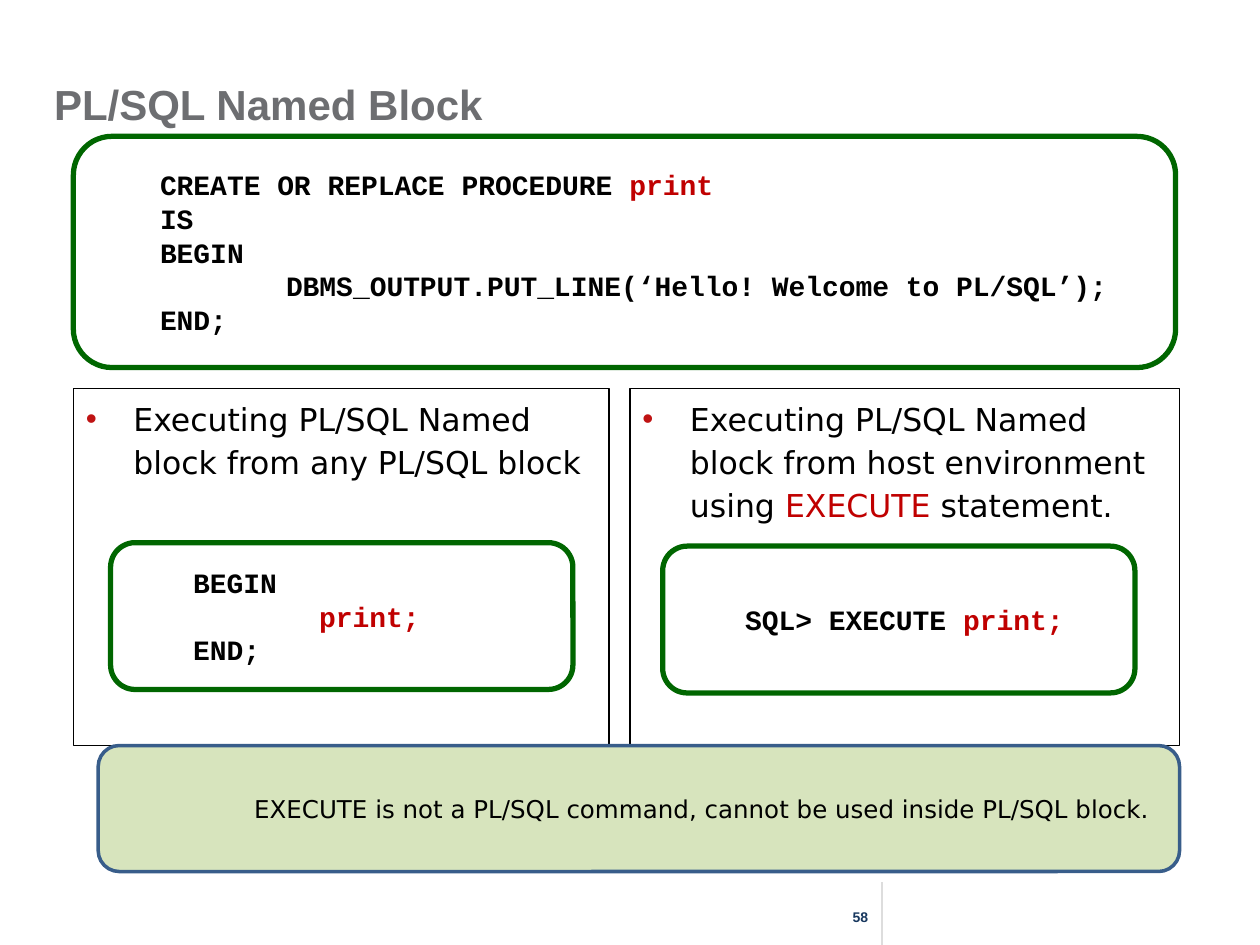
from lxml import etree
from pptx import Presentation
from pptx.dml.color import RGBColor
from pptx.enum import shapes, text
from pptx.oxml.ns import qn
from pptx.util import Cm, Pt

BLACK = RGBColor(0x00, 0x00, 0x00)
RED = RGBColor(0xC0, 0x00, 0x00)
BULLET_RED = RGBColor(0xBF, 0x13, 0x13)
GREEN = RGBColor(0x00, 0x66, 0x00)
PALE_GREEN = RGBColor(0xD7, 0xE4, 0xBD)
BLUE = RGBColor(0x38, 0x5D, 0x8A)
NAVY = RGBColor(0x17, 0x37, 0x5E)
TITLE_GREY = RGBColor(0x6D, 0x6E, 0x71)
RULE_GREY = RGBColor(0xDD, 0xDD, 0xDD)

SANS, HEADING, CODE = "DejaVu Sans", "Arial", "Courier New"
LEFT, CENTER = text.PP_ALIGN.LEFT, text.PP_ALIGN.CENTER
TOP, MIDDLE = text.MSO_ANCHOR.TOP, text.MSO_ANCHOR.MIDDLE
RECT = shapes.MSO_SHAPE.RECTANGLE
ROUNDED = shapes.MSO_SHAPE.ROUNDED_RECTANGLE


def add_bullet(properties):
    color = etree.SubElement(properties, qn("a:buClr"))
    etree.SubElement(color, qn("a:srgbClr")).set("val", str(BULLET_RED))
    etree.SubElement(properties, qn("a:buFont")).set("typeface", HEADING)
    etree.SubElement(properties, qn("a:buChar")).set("char", "•")


def write(shape, lines, *, font, size, color=BLACK, bold=False, align=LEFT,
          anchor=TOP, margin=0, bullet=False, spacing=None):
    """Each line is (extra margin in cm, run, ...); a run is a string or (string, colour)."""
    frame = shape.text_frame
    frame.word_wrap = True
    frame.vertical_anchor = anchor
    for index, (extra, *runs) in enumerate(lines):
        paragraph = frame.add_paragraph() if index else frame.paragraphs[0]
        paragraph.alignment = align
        if spacing:
            paragraph.line_spacing = spacing
        properties = paragraph._p.get_or_add_pPr()
        properties.set("marL", str(Cm(margin + extra)))
        properties.set("indent", str(-Cm(margin) if bullet else 0))
        if bullet:
            add_bullet(properties)
        for part in runs:
            words, run_color = part if isinstance(part, tuple) else (part, color)
            run = paragraph.add_run()
            run.text = words
            run.font.name, run.font.size, run.font.bold = font, Pt(size), bold
            run.font.color.rgb = run_color


def add_box(slide, kind, box, line, width, fill=None):
    shape = slide.shapes.add_shape(kind, *map(Cm, box))
    shape.shadow.inherit = False
    shape.line.color.rgb = line
    shape.line.width = Pt(width)
    if fill is None:
        shape.fill.background()
    else:
        shape.fill.solid()
        shape.fill.fore_color.rgb = fill
    return shape


def add_title(slide, box, words):
    title = slide.shapes.add_textbox(*map(Cm, box))
    write(title, [(0, words)], font=HEADING, size=24, color=TITLE_GREY,
          bold=True, anchor=MIDDLE)


def add_code(slide, box, lines):
    code = add_box(slide, ROUNDED, box, GREEN, 3)
    write(code, lines, font=CODE, size=16, bold=True, anchor=MIDDLE, margin=1.27)


def add_usage(slide, box, point, code_box, code_lines):
    """Framed bullet point with a code sample placed relative to the frame."""
    left, top, width, height = box
    frame = add_box(slide, RECT, box, BLACK, 0.75)
    write(frame, [(0, *point)], font=SANS, size=18, margin=0.96, bullet=True,
          spacing=1.14)
    x, y, code_width, code_height = code_box
    add_code(slide, (left + x, top + y, code_width, code_height), code_lines)


def add_note(slide, box, words):
    note = add_box(slide, ROUNDED, box, BLUE, 2, PALE_GREEN)
    write(note, [(0, words)], font=SANS, size=14, align=CENTER, anchor=MIDDLE,
          margin=2.54)


def add_footer(slide, box, number):
    left, top, width, height = box
    page = slide.shapes.add_textbox(Cm(left), Cm(top + 0.42), Cm(width), Cm(0.77))
    write(page, [(0, number)], font=HEADING, size=8, color=NAVY, bold=True,
          align=CENTER)
    x = Cm(left + 1.07)
    rule = slide.shapes.add_connector(
        shapes.MSO_CONNECTOR.STRAIGHT, x, Cm(top), x, Cm(top + height))
    rule.line.color.rgb = RULE_GREY
    rule.line.width = Pt(1.5)
    etree.SubElement(rule._element.spPr, qn("a:effectLst"))


def main():
    deck = Presentation()
    deck.slide_width, deck.slide_height = Cm(25.4), Cm(19.05)
    slide = deck.slides.add_slide(deck.slide_layouts[6])

    add_footer(slide, (16.71, 17.78, 1.27, 1.27), "58")
    add_title(slide, (0.84, 1.52, 18.62, 1.14), "PL/SQL Named Block")
    add_code(slide, (1.48, 2.75, 22.22, 4.66), [
        (0, "CREATE OR REPLACE PROCEDURE ", ("print", RED)),
        (0, "IS"),
        (0, "BEGIN"),
        (2.54, "DBMS_OUTPUT.PUT_LINE(‘Hello! Welcome to PL/SQL’);"),
        (0, "END;"),
    ])
    add_usage(slide, (1.48, 7.83, 10.8, 7.2),
              ["Executing PL/SQL Named block from any PL/SQL block"],
              (0.75, 3.11, 9.32, 2.96),
              [(0, "BEGIN"), (2.54, ("print;", RED)), (0, "END;")])
    add_usage(slide, (12.7, 7.83, 11.08, 7.2),
              ["Executing PL/SQL Named block from host environment using ",
               ("EXECUTE", RED), " statement."],
              (0.66, 3.18, 9.52, 2.96),
              [(0, "SQL> EXECUTE ", ("print;", RED))])
    add_note(slide, (1.98, 15.03, 21.8, 2.54),
             "EXECUTE is not a PL/SQL command, cannot be used inside PL/SQL block.")
    deck.save("out.pptx")


if __name__ == "__main__":
    main()
